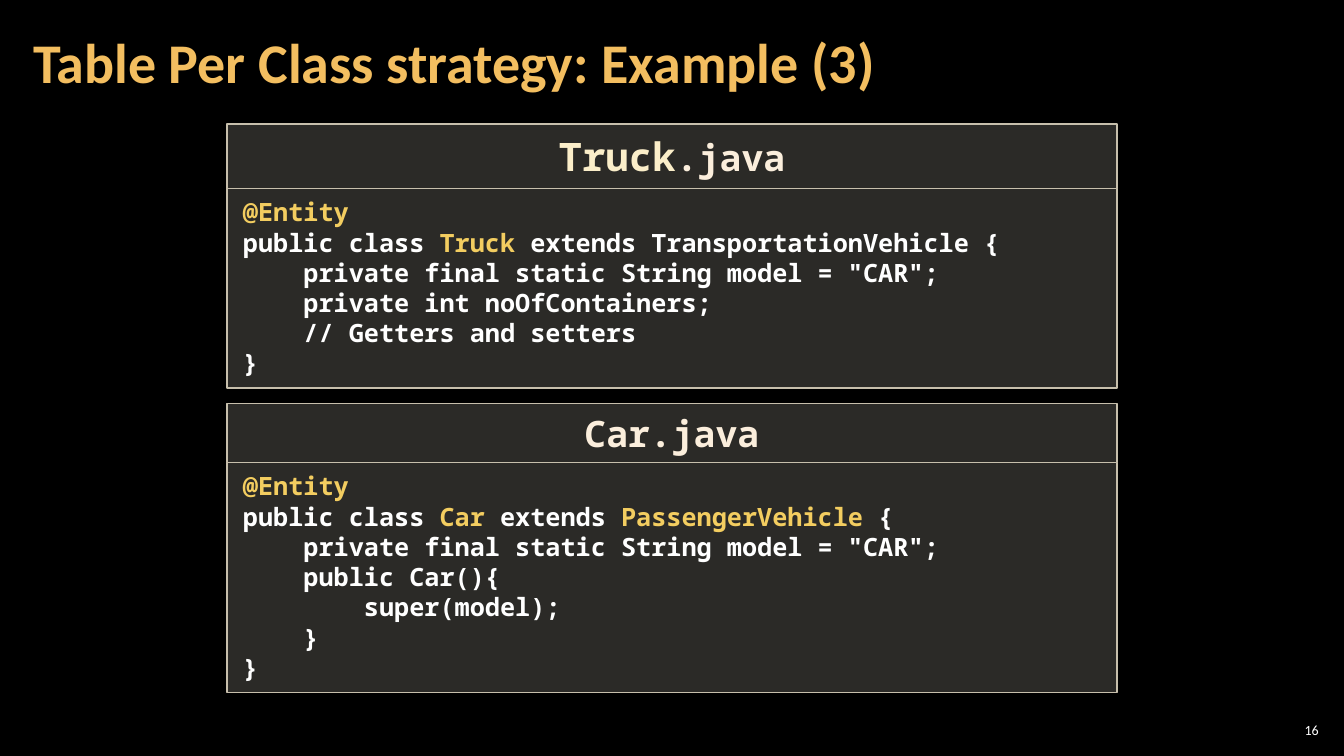
from dataclasses import dataclass

from lxml.etree import SubElement
from pptx import Presentation
from pptx.dml.color import RGBColor
from pptx.enum.shapes import MSO_SHAPE
from pptx.enum.text import MSO_ANCHOR, MSO_AUTO_SIZE, PP_ALIGN
from pptx.oxml.ns import qn
from pptx.util import Inches, Pt


@dataclass(frozen=True)
class Theme:
    back: str = "000000"
    white: str = "FFFFFF"
    title: str = "F3BE60"
    mark: str = "F3CD60"
    head: str = "FBEEDC"
    name: str = "FBEEC9"
    panel: str = "D9D5C7"
    edge: str = "C7BFAC"
    alpha: int = 20
    sans: str = "Calibri"
    mono: str = "Noto Sans Mono"
    big: int = 40
    large: int = 28
    mid: int = 26
    code: int = 18
    small: int = 10


def write(frame, lines, *, font, size, color, bold=True, align=PP_ALIGN.LEFT,
          anchor=MSO_ANCHOR.TOP, pad=(0.16, 0.08), space=None):
    """Fill a frame; a line is (indent in inches, runs), a run (text, color, size)."""
    frame.word_wrap = True
    frame.vertical_anchor = anchor
    frame.margin_left = frame.margin_right = Inches(pad[0])
    frame.margin_top = frame.margin_bottom = Inches(pad[1])
    for i, (indent, runs) in enumerate(lines):
        para = frame.paragraphs[0] if i == 0 else frame.add_paragraph()
        para.alignment = align
        if space:
            para.line_spacing = space
        props = para._p.get_or_add_pPr()
        props.set("marL", str(Inches(indent)))
        props.set("indent", "0")
        for text, tint, points in runs:
            run = para.add_run()
            run.text = text
            run.font.name = font
            run.font.size = Pt(points or size)
            run.font.bold = bold
            run.font.color.rgb = RGBColor.from_string(tint or color)


class Deck:
    def __init__(self, theme):
        self.theme = theme
        self.file = Presentation()
        self.file.slide_width = Inches(13.33)
        self.file.slide_height = Inches(7.5)
        self.slide = self.file.slides.add_slide(self.file.slide_layouts[6])
        fill = self.slide.background.fill
        fill.solid()
        fill.fore_color.rgb = RGBColor.from_string(theme.back)

    def label(self, text, box, **style):
        shape = self.slide.shapes.add_textbox(*map(Inches, box))
        write(shape.text_frame, [(0, [(text, None, None)])],
              font=self.theme.sans, anchor=MSO_ANCHOR.MIDDLE, **style)

    def panel(self, lines, box, **style):
        """Draw a translucent framed box of monospaced text."""
        theme = self.theme
        shape = self.slide.shapes.add_shape(MSO_SHAPE.RECTANGLE, *map(Inches, box))
        shape.shadow.inherit = False
        shape.fill.solid()
        shape.fill.fore_color.rgb = RGBColor.from_string(theme.panel)
        tint = shape.fill._xPr.find(qn("a:solidFill"))[0]
        SubElement(tint, qn("a:alpha")).set("val", str(theme.alpha * 1000))
        shape.line.color.rgb = RGBColor.from_string(theme.edge)
        shape.line.width = Pt(1)
        write(shape.text_frame, lines, font=theme.mono, **style)
        shape.text_frame.auto_size = MSO_AUTO_SIZE.SHAPE_TO_FIT_TEXT

    def listing(self, head, code, top, split, end):
        """Stack a file name panel on a code panel, meeting at split."""
        theme, left, width = self.theme, 2.25, 8.83
        step = 0.6  # four characters of code
        lines = [
            (depth * step, [(text, theme.mark if i % 2 else None, None)
                            for i, text in enumerate(parts) if text])
            for depth, *parts in code
        ]
        self.panel(lines, (left, split, width, end - split),
                   size=theme.code, color=theme.white)
        self.panel([(0, head)], (left, top, width, split - top),
                   size=theme.mid, color=theme.head, align=PP_ALIGN.CENTER)


# Each line: depth, then plain and highlighted text by turns.
TRUCK = [
    (0, "", "@Entity"),
    (0, "public class ", "Truck", " extends TransportationVehicle {"),
    (1, 'private final static String model = "CAR";'),
    (1, "private int noOfContainers;"),
    (1, "// Getters and setters"),
    (0, "}"),
]
CAR = [
    (0, "", "@Entity"),
    (0, "public class ", "Car", " extends ", "PassengerVehicle", " {"),
    (1, 'private final static String model = "CAR";'),
    (1, "public Car(){"),
    (2, "super(model);"),
    (1, "}"),
    (0, "}"),
]


def main():
    theme = Theme()
    deck = Deck(theme)
    deck.label("Table Per Class strategy: Example (3)", (0.21, 0.04, 10.47, 1.21),
               size=theme.big, color=theme.title, pad=(0.12, 0.04), space=0.9)
    deck.listing([("Truck", theme.name, theme.large), (".java", None, None)],
                 TRUCK, 1.23, 1.87, 3.85)
    deck.listing([("Car.java", None, None)], CAR, 4, 4.59, 6.87)
    deck.label("16", (12.65, 7.14, 0.47, 0.21), size=theme.small, color=theme.white,
               bold=False, align=PP_ALIGN.RIGHT, pad=(0.04, 0.04))
    deck.file.save("out.pptx")


if __name__ == "__main__":
    main()
